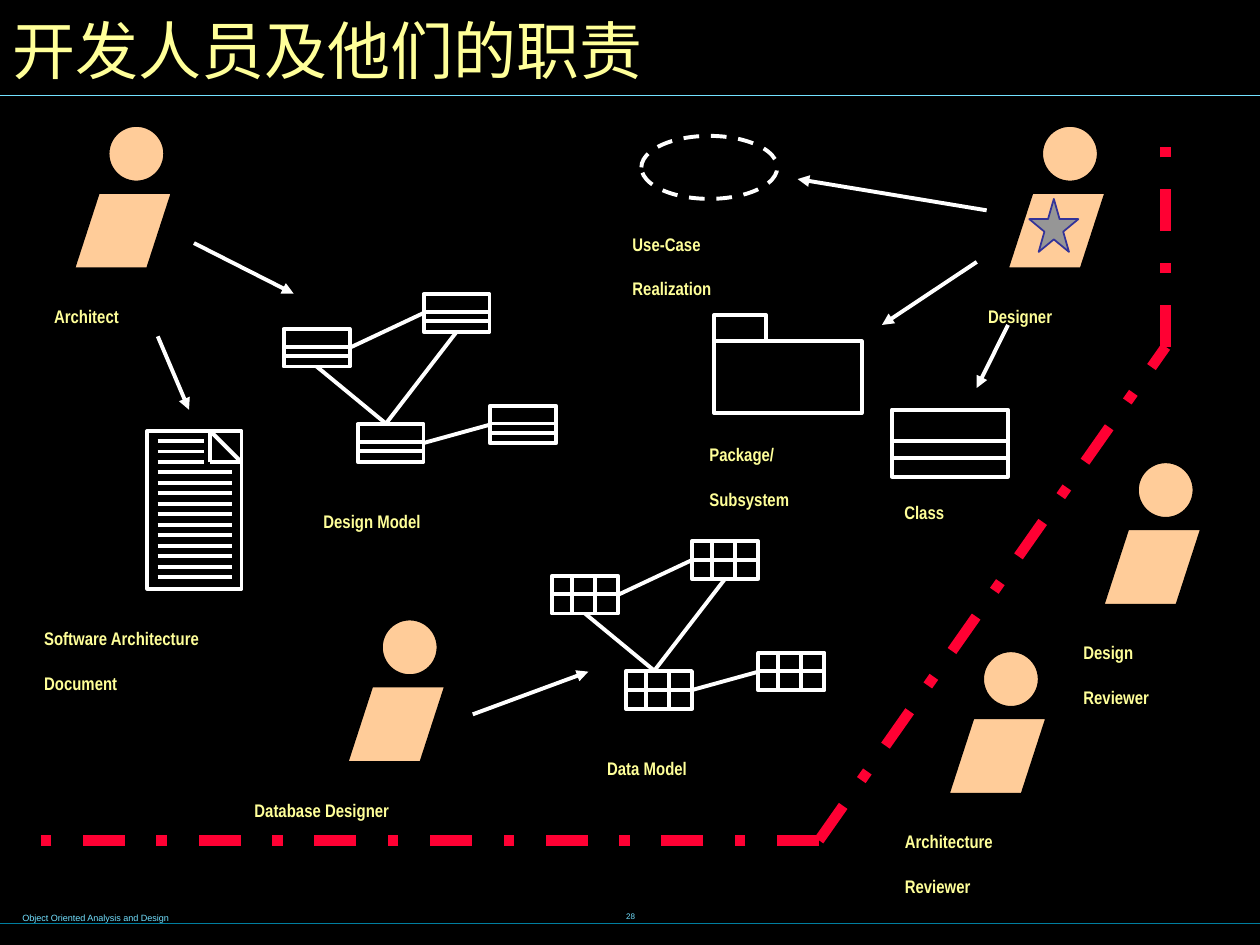
from lxml import etree
from pptx import Presentation
from pptx.dml.color import RGBColor
from pptx.enum.dml import MSO_LINE_DASH_STYLE as Dash
from pptx.enum.shapes import MSO_CONNECTOR as Link, MSO_SHAPE as Shape
from pptx.enum.text import MSO_ANCHOR as Anchor, MSO_AUTO_SIZE as Fit, PP_ALIGN as Align
from pptx.oxml.ns import qn
from pptx.util import Cm, Pt

BLACK, WHITE, YELLOW, SKIN = "000000", "FFFFFF", "FFFF99", "FFCC99"
CYAN, TEAL, RED, GREY, NAVY = "73E1FF", "007E9F", "FF0033", "969696", "333399"
TOP, LEFT, BOTTOM, RIGHT = range(4)


def colour(code):
    return RGBColor.from_string(code)


def format_text(frame, text, *, size=18, font="Arial Narrow", ink=YELLOW,
                bold=False, lowered=True, align=Align.LEFT):
    """Fill a frame, one paragraph per line; lowered sets the text as subscript."""
    for index, line in enumerate(text.split("\n")):
        para = frame.add_paragraph() if index else frame.paragraphs[0]
        para.text = line
        para.alignment = align
        for span in para.runs:
            span.font.size = Pt(size)
            span.font.name = font
            span.font.bold = bold
            span.font.color.rgb = colour(ink)
            if lowered:
                span._r.get_or_add_rPr().set("baseline", "-30000")


class Sketch:
    """Holds the current slide and the house style of the diagram."""

    stroke = 2.25
    node_size = (1.33, 0.76)

    def __init__(self, slide):
        self.slide = slide
        self.shapes = slide.shapes

    def text(self, left, top, width, height, text, *, anchor=Anchor.TOP,
             wrap=True, grow=False, **style):
        box = self.shapes.add_textbox(Cm(left), Cm(top), Cm(width), Cm(height))
        frame = box.text_frame
        frame.word_wrap = wrap
        frame.auto_size = Fit.SHAPE_TO_FIT_TEXT if grow else Fit.NONE
        frame.vertical_anchor = anchor
        format_text(frame, text, **style)

    def label(self, left, top, width, text):
        height = 1.8 if len(text.splitlines()) > 1 else 1.02
        self.text(left, top, width, height, text, wrap=False, grow=True, bold=True)

    def shape(self, kind, left, top, width, height, fill=None, line=WHITE,
              weight=stroke, dash=None):
        shape = self.shapes.add_shape(kind, Cm(left), Cm(top), Cm(width), Cm(height))
        shape.shadow.inherit = False
        if fill:
            shape.fill.solid()
            shape.fill.fore_color.rgb = colour(fill)
        else:
            shape.fill.background()
        shape.line.color.rgb = colour(line)
        shape.line.width = Pt(weight)
        if dash:
            shape.line.dash_style = dash
        return shape

    def line(self, start, end, ink=WHITE, weight=stroke, dash=None, arrow=False):
        line = self.shapes.add_connector(Link.STRAIGHT, *map(Cm, (*start, *end)))
        line.line.color.rgb = colour(ink)
        line.line.width = Pt(weight)
        if dash:
            line.line.dash_style = dash
        if arrow:
            etree.SubElement(line.line._get_or_add_ln(), qn("a:tailEnd"), type="triangle")
        etree.SubElement(line._element.spPr, qn("a:effectLst"))
        return line

    def person(self, left, top, role, label_shift, label_width):
        """Draw a worker; left and top are those of the body."""
        self.label(left + label_shift, top + 1.68, label_width, role)
        self.shape(Shape.OVAL, left + 0.69, top - 1.35, 1.12, 1.12, SKIN, BLACK, 1)
        body = self.shape(Shape.PARALLELOGRAM, left, top, 1.96, 1.52, SKIN, BLACK, 1)
        body.adjustments[0] = 0.325

    def ruled_box(self, left, top, width, height, rows, columns=()):
        """Draw a rectangle divided at the given fractions of its sides."""
        box = self.shape(Shape.RECTANGLE, left, top, width, height)
        for part in rows:
            y = top + part * height
            self.line((left, y), (left + width, y))
        for part in columns:
            x = left + part * width
            self.line((x, top), (x, top + height))
        return box

    def class_box(self, left, top, width, height):
        return self.ruled_box(left, top, width, height, (0.47, 0.72))

    def table_box(self, left, top, width, height):
        return self.ruled_box(left, top, width, height, (0.49,), (0.3, 0.65))

    def network(self, left, top, draw_node):
        """Draw four linked nodes; left and top are those of the first."""
        offsets = (0, 0), (2.82, -0.7), (1.49, 1.92), (4.16, 1.55)
        first, second, third, fourth = (
            draw_node(left + x, top + y, *self.node_size) for x, y in offsets)
        junction = left + 2.06, top + 1.91
        for node in (first, second):
            self.line(junction, junction).end_connect(node, BOTTOM)
        for source, target in ((first, second), (third, fourth)):
            link = self.line(junction, junction)
            link.begin_connect(source, RIGHT)
            link.end_connect(target, LEFT)

    def document(self, left, top, width, height):
        self.shape(Shape.RECTANGLE, left, top, width, height)
        fold, right = 0.63, left + width
        corners = (right - fold, top), (right, top + fold), (right - fold, top + fold)
        for index, corner in enumerate(corners):
            self.line(corners[index - 1], corner)
        for row in range(14):
            y = top + 0.2 + row * 2.75 / 13
            length = 0.93 if row < 3 else 1.49
            self.line((left + 0.21, y), (left + 0.21 + length, y))


def main():
    deck = Presentation()
    deck.slide_width, deck.slide_height = Cm(25.4), Cm(19.05)
    page = deck.slides.add_slide(deck.slide_layouts[6])
    page.background.fill.solid()
    page.background.fill.fore_color.rgb = colour(BLACK)
    sketch = Sketch(page)

    sketch.text(0, 0, 25.22, 1.98, "开发人员及他们的职责",
                anchor=Anchor.MIDDLE, size=36, lowered=False)
    sketch.text(0.2, 18.03, 12.95, 0.64, "Object Oriented Analysis and Design",
                grow=True, size=9, font="Arial", ink=CYAN)
    sketch.text(8.69, 17.73, 8.05, 1.27, "28", anchor=Anchor.MIDDLE, wrap=False,
                size=8, font="Arial", ink=CYAN, align=Align.CENTER)
    for y, ink in ((1.93, CYAN), (18.62, TEAL)):
        sketch.line((0, y), (25.4, y), ink, 0.75)

    people = (
        (1.5, 3.89, "Architect", -0.66, 2.79),
        (20.32, 3.89, "Designer", -0.65, 2.77),
        (7.01, 13.84, "Database Designer", -2.13, 5.26),
        (19.13, 14.48, "Architecture\nReviewer", -1.14, 3.61),
        (22.25, 10.67, "Design\nReviewer", -0.66, 2.82),
    )
    for person in people:
        sketch.person(*person)
    sketch.shape(Shape.STAR_5_POINT, 20.75, 4.01, 0.99, 1.07, GREY, NAVY, 1)

    sketch.document(2.97, 8.69, 1.9, 3.18)
    sketch.network(5.72, 6.63, sketch.class_box)
    sketch.network(11.13, 11.61, sketch.table_box)
    sketch.class_box(17.98, 8.26, 2.34, 1.35)
    sketch.shape(Shape.RECTANGLE, 14.4, 6.88, 2.97, 1.45)
    sketch.shape(Shape.RECTANGLE, 14.4, 6.35, 1.04, 0.53)
    sketch.shape(Shape.OVAL, 12.93, 2.74, 2.74, 1.27, dash=Dash.DASH)

    labels = (
        (0.64, 12.07, 5.97, "Software Architecture\nDocument"),
        (6.27, 9.7, 3.94, "Design Model"),
        (11.99, 14.68, 3.33, "Data Model"),
        (12.5, 4.11, 3.3, "Use-Case\nRealization"),
        (14.05, 8.36, 3.33, "Package/\vSubsystem"),
        (17.98, 9.53, 1.93, "Class"),
    )
    for label in labels:
        sketch.label(*label)

    arrows = (
        ((3.18, 6.78), (3.81, 8.26)),
        ((3.91, 4.9), (5.92, 5.92)),
        ((19.69, 5.28), (17.78, 6.55)),
        ((20.32, 6.55), (19.69, 7.82)),
        ((19.89, 4.24), (16.08, 3.61)),
        ((9.53, 14.4), (11.86, 13.54)),
    )
    for start, end in arrows:
        sketch.line(start, end, arrow=True)

    lower_bend, upper_bend = (16.51, 16.94), (23.5, 6.99)
    boundary = ((lower_bend, upper_bend), (lower_bend, (0.64, 16.94)),
                (upper_bend, (23.5, 2.54)))
    for start, end in boundary:
        sketch.line(start, end, RED, 6, Dash.DASH_DOT)

    deck.save("out.pptx")


if __name__ == "__main__":
    main()
